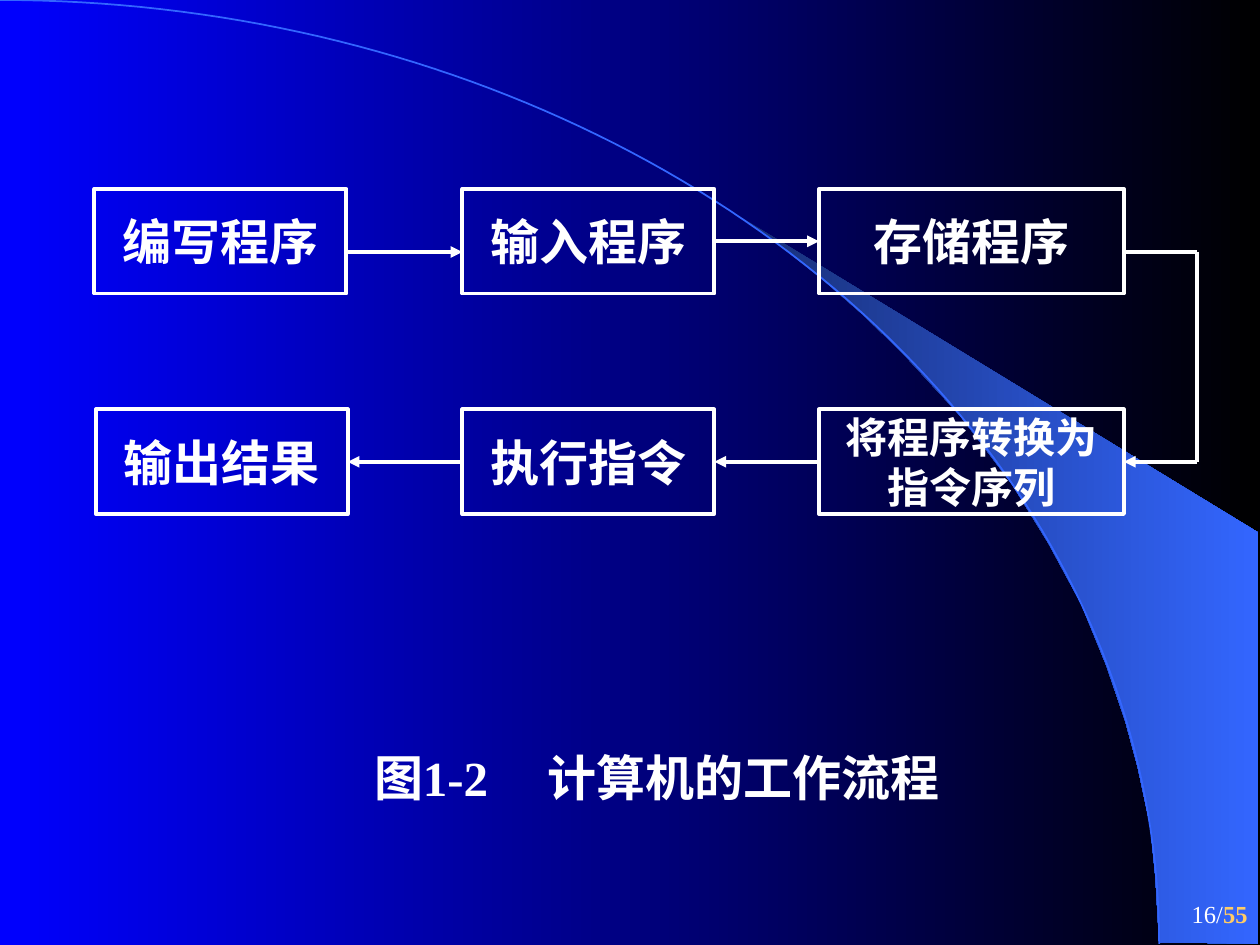
from dataclasses import dataclass
from math import cos, pi, sin
from typing import NamedTuple

from lxml.etree import SubElement as Sub
from pptx import Presentation
from pptx.dml.color import RGBColor as RGB
from pptx.enum.shapes import MSO_CONNECTOR as Link, MSO_SHAPE as Form
from pptx.enum.text import MSO_ANCHOR as Anchor, MSO_AUTO_SIZE as Fit, PP_ALIGN as Align
from pptx.oxml.ns import qn
from pptx.util import Inches, Pt


@dataclass(frozen=True)
class Theme:
    face: str = "Times New Roman"
    white: RGB = RGB(255, 255, 255)
    black: RGB = RGB(0, 0, 0)
    blue: RGB = RGB(0, 0, 255)
    navy: RGB = RGB(0x18, 0x2F, 0x76)
    sky: RGB = RGB(0x33, 0x66, 0xFF)
    gold: RGB = RGB(0xFF, 0xCC, 0x66)
    big: int = 28
    mid: int = 24
    small: int = 14
    rule: float = 2.25


class Step(NamedTuple):
    text: str
    left: float
    top: float
    width: float
    size: int


class Arrow(NamedTuple):
    start: tuple[float, float]
    end: tuple[float, float]
    head: bool = True
    source: tuple[int, int] | None = None  # step index, side
    target: tuple[int, int] | None = None


THEME = Theme()
TOP, LOW = 1.5, 3.25
HIGH = 0.83
TOP_MID, LOW_MID = TOP + HIGH / 2, LOW + HIGH / 2
LEFT, RIGHT = 1, 3
TURN = 9.5
EXIT = 2  # height of the lines that leave the outer boxes of the top row

STEPS = [
    Step("编写程序", 0.75, TOP, 2, THEME.big),
    Step("输入程序", 3.67, TOP, 2, THEME.big),
    Step("存储程序", 6.5, TOP, 2.42, THEME.big),
    Step("输出结果", 0.76, LOW, 2, THEME.big),
    Step("执行指令", 3.67, LOW, 2, THEME.big),
    Step("将程序转换为\n指令序列", 6.5, LOW, 2.42, THEME.mid),
]
ARROWS = [
    Arrow((2.75, EXIT), (3.67, EXIT)),
    Arrow((5.67, TOP_MID), (6.5, TOP_MID), True, (1, RIGHT), (2, LEFT)),
    Arrow((8.92, EXIT), (TURN, EXIT), False),
    Arrow((TURN, EXIT), (TURN, LOW_MID), False),
    Arrow((TURN, LOW_MID), (8.92, LOW_MID), True, None, (5, RIGHT)),
    Arrow((6.5, LOW_MID), (5.67, LOW_MID), True, (5, LEFT), (4, RIGHT)),
    Arrow((3.67, LOW_MID), (2.76, LOW_MID), True, (4, LEFT), (3, RIGHT)),
]

ARC_W, ARC_H = 9.2, 7.49
WEDGE = [
    (9.2, 7.48), (9.99, 7.49), (9.99, 4.23), (5.89, 1.73), (6.24, 1.99),
    (6.53, 2.22), (6.85, 2.5), (7.16, 2.8), (7.62, 3.3), (8.03, 3.84),
    (8.32, 4.31), (8.58, 4.79), (8.78, 5.28), (8.93, 5.72), (9.03, 6.09),
    (9.13, 6.56), (9.17, 6.96),
]


def blend(fill, first: RGB, last: RGB) -> None:
    """Fill from left to right with two colours."""
    fill.gradient()
    fill.gradient_angle = 0
    for stop, tint, place in zip(fill.gradient_stops, (first, last), (0, 1)):
        stop.color.rgb = tint
        stop.position = place


def outline(slide, points: list[tuple[float, float]], close: bool):
    spots = [(Inches(x), Inches(y)) for x, y in points]
    pen = slide.shapes.build_freeform(*spots[0])
    pen.add_line_segments(spots[1:], close=close)
    shape = pen.convert_to_shape()
    shape.shadow.inherit = False
    return shape


def style(para, size: int, bold: bool, align: Align) -> None:
    para.alignment = align
    font = para.font
    font.name, font.size, font.bold = THEME.face, Pt(size), bold
    font.color.rgb = THEME.white


def add_step(slide, step: Step):
    box = slide.shapes.add_shape(
        Form.RECTANGLE, Inches(step.left), Inches(step.top), Inches(step.width), Inches(HIGH))
    box.shadow.inherit = False
    box.fill.background()
    box.line.color.rgb = THEME.white
    box.line.width = Pt(THEME.rule)
    frame = box.text_frame
    frame.word_wrap = False
    frame.vertical_anchor = Anchor.MIDDLE
    frame.text = step.text
    for para in frame.paragraphs:
        style(para, step.size, True, Align.CENTER)
    return box


def add_arrow(slide, arrow: Arrow, boxes: list) -> None:
    ends = [Inches(n) for n in (*arrow.start, *arrow.end)]
    line = slide.shapes.add_connector(Link.STRAIGHT, *ends)
    if arrow.source:
        line.begin_connect(boxes[arrow.source[0]], arrow.source[1])
    if arrow.target:
        line.end_connect(boxes[arrow.target[0]], arrow.target[1])
    line.line.color.rgb = THEME.white
    line.line.width = Pt(THEME.rule)
    props = line._element.spPr
    if arrow.head:
        Sub(props.find(qn("a:ln")), qn("a:tailEnd"), type="triangle")
    Sub(props, qn("a:effectLst"))


def add_text(slide, left: float, top: float, width: float, height: float):
    frame = slide.shapes.add_textbox(
        Inches(left), Inches(top), Inches(width), Inches(height)).text_frame
    frame.word_wrap = True
    return frame


def add_label(slide) -> None:
    frame = add_text(slide, 2.87, 5.88, 5.12, 0.57)
    frame.auto_size = Fit.SHAPE_TO_FIT_TEXT
    para = frame.paragraphs[0]
    para.add_run().text = "图1-2\t计算机的工作流程"
    tabs = Sub(para._p.get_or_add_pPr(), qn("a:tabLst"))
    Sub(tabs, qn("a:tab"), pos=str(Inches(1.38)), algn="l")
    style(para, THEME.big, True, Align.LEFT)


def add_page(slide) -> None:
    frame = add_text(slide, 7.92, 7, 2.08, 0.5)
    frame.vertical_anchor = Anchor.MIDDLE
    para = frame.paragraphs[0]
    style(para, THEME.small, False, Align.RIGHT)
    para.add_run().text = "16/"
    total = para.add_run()
    total.text = "55"
    total.font.bold = True
    total.font.color.rgb = THEME.gold


def add_scene(slide) -> None:
    """Draw the backdrop: gradient, wedge and quarter ellipse."""
    blend(slide.background.fill, THEME.blue, THEME.black)
    wedge = outline(slide, WEDGE, True)
    blend(wedge.fill, THEME.navy, THEME.sky)
    wedge.line.fill.background()
    turns = [pi / 2 * i / 90 for i in range(91)]
    arc = outline(slide, [(ARC_W * sin(t), ARC_H * (1 - cos(t))) for t in turns], False)
    arc.fill.background()
    arc.line.color.rgb = THEME.sky
    arc.line.width = Pt(1)


def main() -> None:
    deck = Presentation()
    deck.slide_width, deck.slide_height = Inches(10), Inches(7.5)
    slide = deck.slides.add_slide(deck.slide_layouts[6])
    add_scene(slide)
    boxes = [add_step(slide, step) for step in STEPS]
    for arrow in ARROWS:
        add_arrow(slide, arrow, boxes)
    add_label(slide)
    add_page(slide)
    deck.save("out.pptx")


if __name__ == "__main__":
    main()
